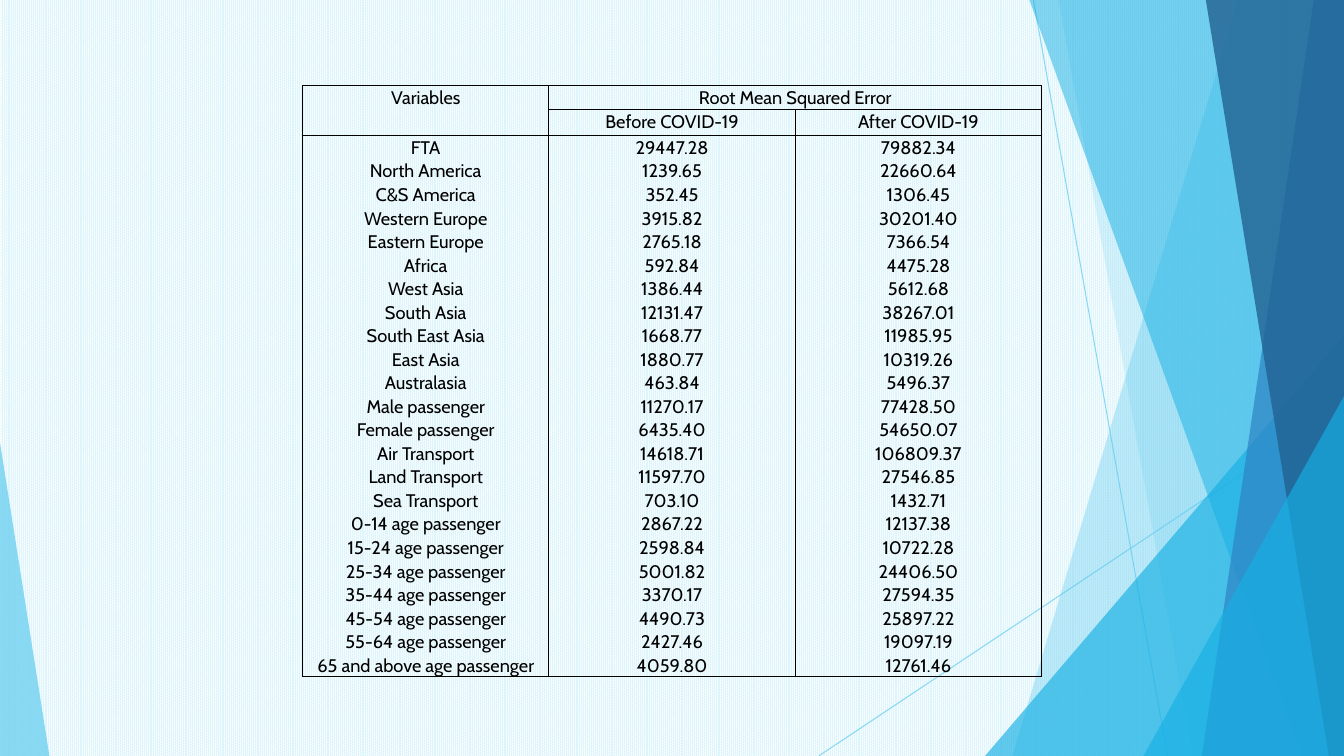
from lxml import etree
from pptx import Presentation
from pptx import util as u
from pptx.dml.color import RGBColor
from pptx.enum import dml, shapes, text
from pptx.oxml.ns import qn

WIDTH, HEIGHT = 13.33, 7.5
SKY, CYAN, BLUE, NAVY = "5FCBEF", "17B0E4", "2E83C3", "226292"

ERRORS = [
    ("FTA", "29447.28", "79882.34"),
    ("North America", "1239.65", "22660.64"),
    ("C&S America", "352.45", "1306.45"),
    ("Western Europe", "3915.82", "30201.40"),
    ("Eastern Europe", "2765.18", "7366.54"),
    ("Africa", "592.84", "4475.28"),
    ("West Asia", "1386.44", "5612.68"),
    ("South Asia", "12131.47", "38267.01"),
    ("South East Asia", "1668.77", "11985.95"),
    ("East Asia", "1880.77", "10319.26"),
    ("Australasia", "463.84", "5496.37"),
    ("Male passenger", "11270.17", "77428.50"),
    ("Female passenger", "6435.40", "54650.07"),
    ("Air Transport", "14618.71", "106809.37"),
    ("Land Transport", "11597.70", "27546.85"),
    ("Sea Transport", "703.10", "1432.71"),
    ("0-14 age passenger", "2867.22", "12137.38"),
    ("15-24 age passenger", "2598.84", "10722.28"),
    ("25-34 age passenger", "5001.82", "24406.50"),
    ("35-44 age passenger", "3370.17", "27594.35"),
    ("45-54 age passenger", "4490.73", "25897.22"),
    ("55-64 age passenger", "2427.46", "19097.19"),
    ("65 and above age passenger", "4059.80", "12761.46"),
]


def color(hex_value):
    """Return the colour for a hex string."""
    return RGBColor.from_string(hex_value)


def set_opacity(shape, percent):
    """Make the shape's fill or line colour partly transparent."""
    for element in shape.element.spPr.iter(qn("a:srgbClr")):
        etree.SubElement(element, qn("a:alpha"), val=str(percent * 1000))


def paint(shape, fill, opacity):
    """Give a shape a translucent fill without outline or shadow."""
    shape.shadow.inherit = False
    shape.line.fill.background()
    shape.fill.solid()
    shape.fill.fore_color.rgb = color(fill)
    set_opacity(shape, opacity)


def add_ray(slide, start, end):
    """Draw a thin translucent line."""
    points = [u.Inches(value) for value in (*start, *end)]
    ray = slide.shapes.add_connector(shapes.MSO_CONNECTOR.STRAIGHT, *points)
    ray.line.color.rgb = color(SKY)
    ray.line.width = u.Pt(0.75)
    set_opacity(ray, 70)
    etree.SubElement(ray.element.spPr, qn("a:effectLst"))


def add_facet(slide, top_x, bottom_x, fill, opacity):
    """Draw a full-height facet from a slanted edge to the right slide edge."""
    corners = [(top_x, 0), (WIDTH, 0), (WIDTH, HEIGHT), (bottom_x, HEIGHT)]
    points = [(u.Inches(x), u.Inches(y)) for x, y in corners]
    builder = slide.shapes.build_freeform(*points[0])
    builder.add_line_segments(points[1:], close=True)
    paint(builder.convert_to_shape(), fill, opacity)


def add_corner(slide, left, top, width, apex, fill, opacity):
    """Draw a right triangle standing on the bottom slide edge."""
    box = [u.Inches(value) for value in (left, top, width, HEIGHT - top)]
    corner = slide.shapes.add_shape(shapes.MSO_SHAPE.ISOSCELES_TRIANGLE, *box)
    corner.adjustments[0] = apex
    paint(corner, fill, opacity)


def set_borders(cell):
    """Draw black one-point borders around a cell."""
    properties = cell._tc.get_or_add_tcPr()
    for index, side in enumerate(("lnL", "lnR", "lnT", "lnB")):
        border = etree.Element(qn(f"a:{side}"), w=str(u.Pt(1)))
        fill = etree.SubElement(border, qn("a:solidFill"))
        etree.SubElement(fill, qn("a:srgbClr"), val="000000")
        properties.insert(index, border)


def format_cell(cell):
    """Set a cell's margins, borders and text style."""
    cell.fill.background()
    set_borders(cell)
    cell.margin_left = cell.margin_right = u.Inches(0.07)
    cell.margin_top = cell.margin_bottom = 0
    for paragraph in cell.text_frame.paragraphs:
        paragraph.alignment = text.PP_ALIGN.CENTER
        paragraph.line_spacing = 1.07
        paragraph.font.size = u.Pt(13)
        for run in paragraph.runs:
            run.font.size = u.Pt(13)
            run.font.name = "Cabin"
            run.font.color.rgb = color("000000")


def add_error_table(slide):
    """Add the table of errors before and after COVID-19."""
    box = [u.Inches(value) for value in (3, 0.85, 7.33, 5.8)]
    table = slide.shapes.add_table(3, 3, *box).table
    table.first_row = table.horz_banding = False
    for row, height in zip(table.rows, (0.2, 0.26, 4.7)):
        row.height = u.Inches(height)
    table.cell(0, 0).merge(table.cell(1, 0))
    table.cell(0, 1).merge(table.cell(0, 2))
    table.cell(0, 0).text = "Variables"
    table.cell(0, 1).text = "Root Mean Squared Error"
    table.cell(1, 1).text = "Before COVID-19"
    table.cell(1, 2).text = "After COVID-19"
    for index, values in enumerate(zip(*ERRORS)):
        table.cell(2, index).text = "\n".join(values)
    for cell in table.iter_cells():
        format_cell(cell)


def set_background(slide):
    """Fill the slide background with a pale dotted pattern."""
    fill = slide.background.fill
    fill.patterned()
    fill.pattern = dml.MSO_PATTERN.PERCENT_90
    fill.fore_color.rgb = color("DFF5FC")
    fill.back_color.rgb = color("FFFFFF")


def main():
    """Build and save the slide."""
    presentation = Presentation()
    presentation.slide_width = u.Inches(WIDTH)
    presentation.slide_height = u.Inches(HEIGHT)
    slide = presentation.slides.add_slide(presentation.slide_layouts[6])
    set_background(slide)
    add_ray(slide, (10.25, 0), (11.58, HEIGHT))
    add_ray(slide, (WIDTH, 4.03), (8.12, HEIGHT))
    add_facet(slide, 12.28, 10.04, SKY, 36)
    add_facet(slide, 10.5, 11.83, SKY, 20)
    add_corner(slide, 9.77, 3.33, 3.56, 1, CYAN, 66)
    add_facet(slide, 10.21, 12.91, CYAN, 50)
    add_facet(slide, 13.03, 11.92, BLUE, 70)
    add_facet(slide, 11.96, 13.18, NAVY, 80)
    add_corner(slide, 11.34, 3.93, 1.99, 1, CYAN, 66)
    add_corner(slide, 0, 4.39, 0.49, 0, SKY, 70)
    add_error_table(slide)
    presentation.save("out.pptx")


if __name__ == "__main__":
    main()
